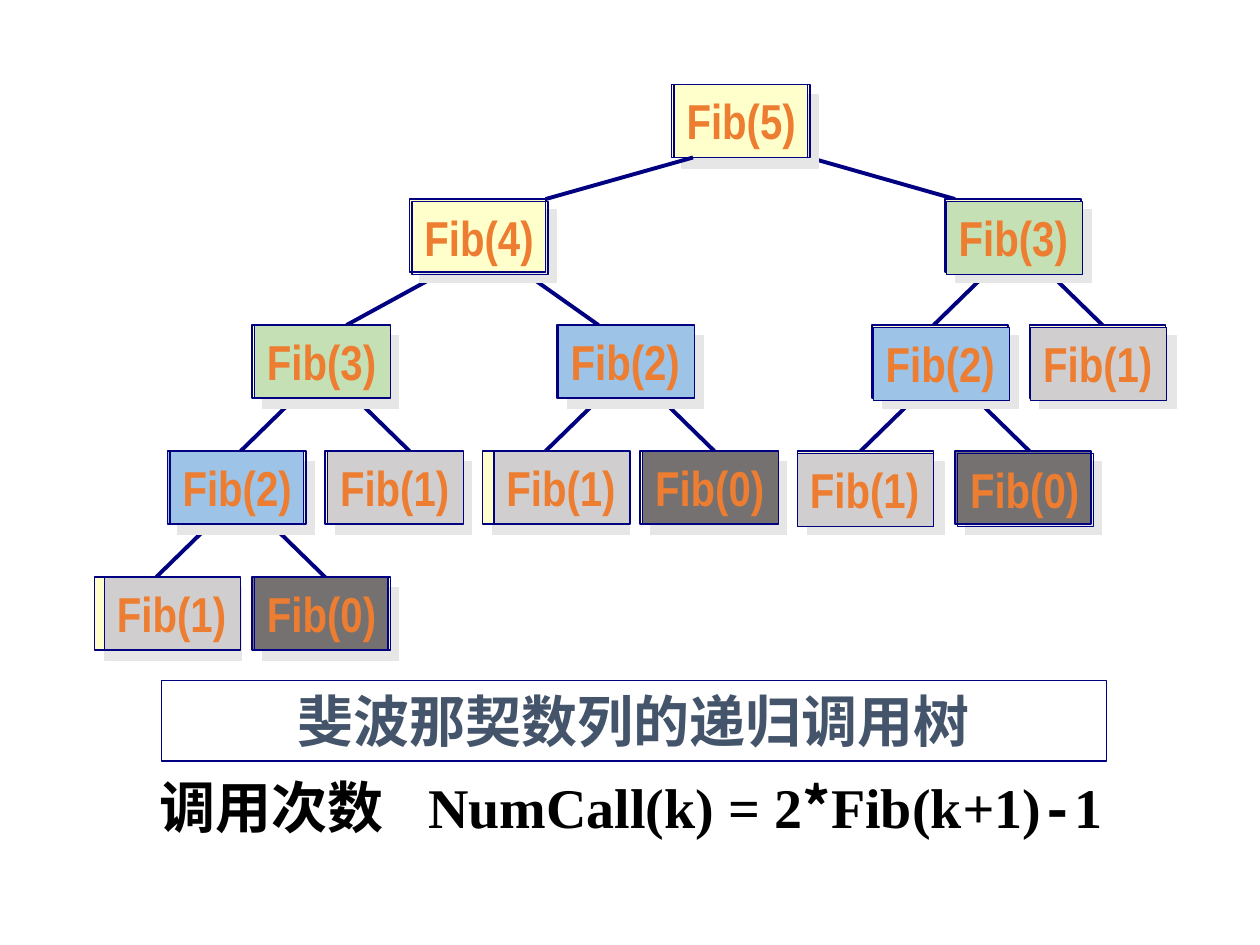
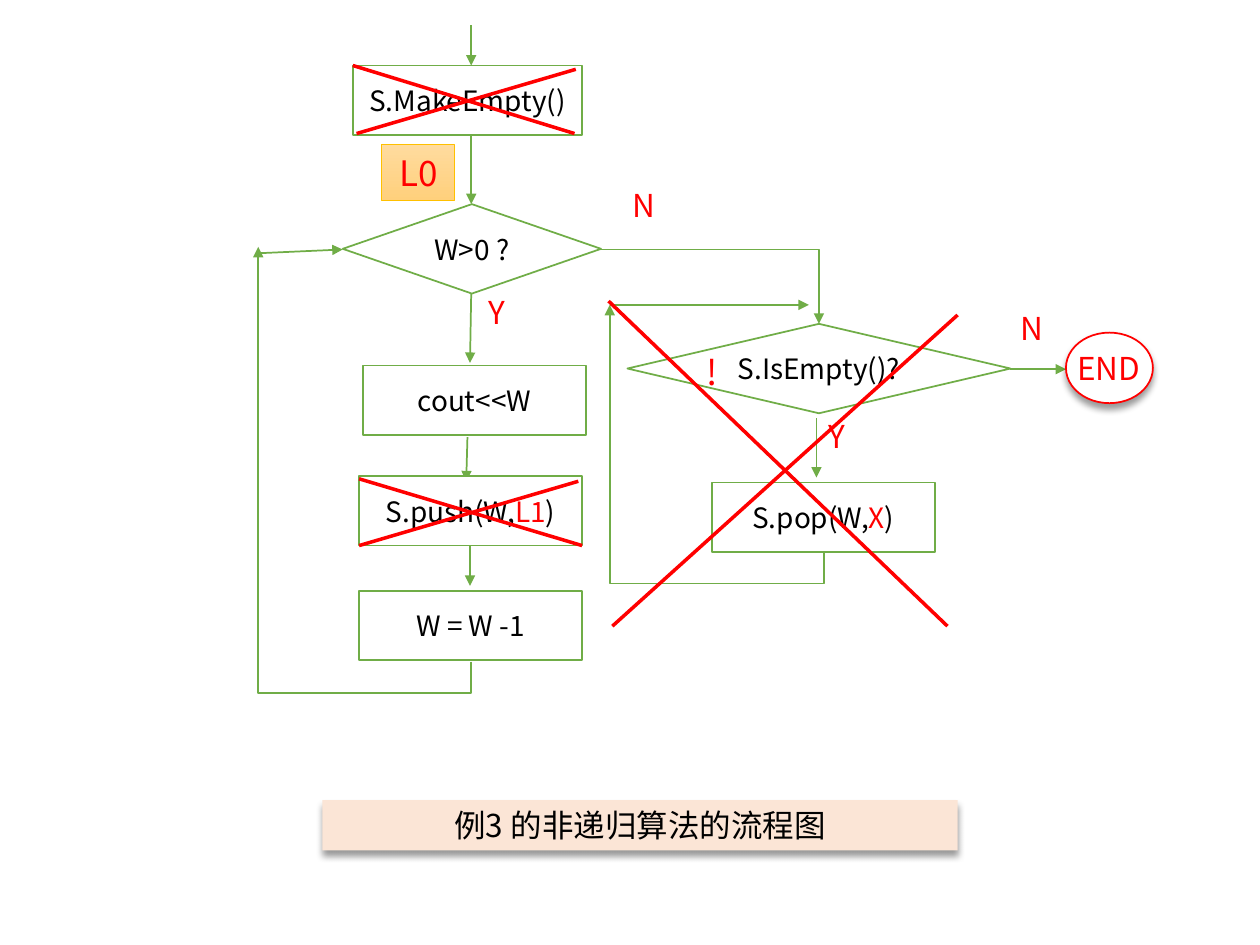
from lxml import etree
from pptx import Presentation
from pptx import util as u
from pptx.dml import color as dml
from pptx.enum import shapes, text
from pptx.oxml import ns

PX = 9144  # EMU per px, 100 px to the inch
HUES = {
    "navy": "000080", "orange": "ED7D31", "slate": "44546A", "black": "000000",
    "white": "FFFFFF", "cream": "FFFFCC", "mist": "E7E6E6", "green": "70AD47",
    "red": "FF0000", "gold": "FFC000", "peach": "FBE5D6",
    "light": "FFDB9E", "deep": "FFD07C",
}
TONES = {0: "767171", 1: "D0CECE", 2: "9DC3E6", 3: "C5E0B4", 4: "FFFFCC", 5: "FFFFCC"}
SANS, SERIF, NARROW, MONO = "Noto Sans CJK SC", "Times New Roman", "Arial Narrow", "Courier New"
KIND = shapes.MSO_SHAPE
MID = text.PP_ALIGN.CENTER

# Shadows: colour, opacity %, blur pt, distance pt, angle
CAST = ("mist", 100, 0, 8.5, 45)
SOFT = ("black", 40, 4, 3, 90)

# Tree nodes: number, card left and top, label shift, label without fill
CARD = (108, 58)
NODES = [
    (2, 133, 358, 2, 0, True), (1, 258, 358, 2, 0, False),
    (1, 383, 358, 9, 0, False), (0, 508, 358, 2, 0, False),
    (1, 633, 358, 0, 2, False), (0, 758, 358, 2, 2, True),
    (2, 692, 258, 1, 2, False), (1, 817, 258, 1, 2, False),
    (1, 75, 458, 8, 0, False), (0, 200, 458, 2, 0, True),
    (3, 200, 258, 2, 0, False), (2, 442, 258, 1, 0, False),
    (4, 325, 158, 2, 2, True), (3, 750, 158, 1, 2, False),
    (5, 533, 67, 2, 0, True),
]
FORKS = [(133, 417), (200, 317), (442, 317), (692, 317), (750, 217)]
LIMBS = [(417, 217, 475, 258), (350, 217, 275, 258), (642, 125, 758, 158)]

# Flow steps: kind, place, text parts, side and top margins
STEPS = [
    (KIND.DIAMOND, (272, 162, 205, 71), ["W>0 ?"], (10, 5)),
    (KIND.RECTANGLE, (285, 469, 177, 55), ["W = W -1"], (10, 5)),
    (KIND.RECTANGLE, (288, 290, 177, 55), ["cout<<W"], (10, 5)),
    (KIND.RECTANGLE, (285, 378, 177, 55), ["S.push(W,", "L1", ")"], (10, 5)),
    (KIND.DIAMOND, (498, 257, 304, 71), ["S.IsEmpty()?"], (0, 0)),
    (KIND.RECTANGLE, (565, 383, 177, 55), ["S.pop(W,", "X", ")"], (10, 5)),
    (KIND.RECTANGLE, (280, 52, 182, 55), ["S.MakeEmpty()"], (0, 5)),
]
ARROWS = [
    (374, 20, 374, 52), (374, 107, 374, 162), (374, 233, 373, 288),
    (205, 201, 272, 198), (371, 347, 370, 382), (373, 433, 373, 465),
    (484, 242, 642, 242), (802, 293, 846, 293), (648, 332, 648, 379),
]
BENDS = [
    ((476, 198, 174, 59), 2, 0, None),
    ((125, 276, 329, 169), 3, 90, -7600),
    ((471, 255, 196, 170), 3, 90, -12800),
]
CROSSES = [
    (285, 380, 462, 433), (459, 382, 285, 433), (483, 239, 752, 497),
    (760, 250, 486, 497), (280, 52, 456, 106), (457, 55, 283, 106),
]
MARKS = [
    ("Y", (378, 228, 48, 40), 18), ("N", (492, 143, 48, 40), 18),
    ("N", (800, 240, 48, 40), 18), ("Y", (648, 326, 48, 40), 18),
    ("!", (551, 273, 27, 44), 20), ("END", (845, 272, 79, 40), 18),
]


def emu(vals):
    return [u.Emu(v * PX) for v in vals]


def rgb(name):
    return dml.RGBColor.from_string(HUES.get(name, name))


def sub(top, tag, **attrs):
    node = etree.SubElement(top, ns.qn(tag))
    for key, val in attrs.items():
        node.set(key, str(val))
    return node


def shade(shape, cast):
    hue, alpha, blur, dist, turn = cast
    spot = sub(sub(shape._element.spPr, "a:effectLst"), "a:outerShdw",
               blurRad=u.Pt(blur), dist=u.Pt(dist), dir=turn * 60000,
               algn="ctr", rotWithShape=0)
    tint = sub(spot, "a:srgbClr", val=HUES[hue])
    sub(tint, "a:alpha", val=alpha * 1000)


def box(slide, kind, at, fill=None, line=None, width=1, cast=None):
    shape = slide.shapes.add_shape(kind, *emu(at))
    if fill:
        shape.fill.solid()
        shape.fill.fore_color.rgb = rgb(fill)
    else:
        shape.fill.background()
    if line:
        shape.line.color.rgb = rgb(line)
        shape.line.width = u.Pt(width)
    else:
        shape.line.fill.background()
    if cast:
        shade(shape, cast)
    else:
        shape.shadow.inherit = False
    return shape


def write(shape, runs, align=None, mid=False, wrap=True, pad=(10, 5)):
    """Fill a shape with runs of (text, size, font, colour, bold, italic)."""
    frame = shape.text_frame
    frame.word_wrap = wrap
    frame.vertical_anchor = text.MSO_ANCHOR.MIDDLE if mid else text.MSO_ANCHOR.TOP
    if not mid:
        frame.auto_size = text.MSO_AUTO_SIZE.SHAPE_TO_FIT_TEXT
    frame.margin_left = frame.margin_right = u.Emu(pad[0] * PX)
    frame.margin_top = frame.margin_bottom = u.Emu(pad[1] * PX)
    para = frame.paragraphs[0]
    para.alignment = align or text.PP_ALIGN.LEFT
    for words, size, face, hue, bold, ital in runs:
        run = para.add_run()
        run.text = words
        font = run.font
        font.size, font.name, font.bold, font.italic = u.Pt(size), face, bold, ital
        font.color.rgb = rgb(hue)
        sub(run._r.get_or_add_rPr(), "a:ea", typeface=SANS)
    return para


def sans(words, size, hue="black", bold=False):
    return (words, size, SANS, hue, bold, False)


def note(slide, at, runs):
    return write(slide.shapes.add_textbox(*emu(at)), runs)


def dress(link, hue, width, head):
    link.line.color.rgb = rgb(hue)
    link.line.width = u.Pt(width)
    if head:
        sub(link.line._get_or_add_ln(), "a:tailEnd", type="triangle")
    sub(link._element.spPr, "a:effectLst")


def link(slide, ends, hue, width, head=False):
    line = slide.shapes.add_connector(shapes.MSO_CONNECTOR.STRAIGHT, *emu(ends))
    dress(line, hue, width, head)


def bend(slide, at, legs, turn, bulge):
    x, y, w, h = at
    line = slide.shapes.add_connector(
        shapes.MSO_CONNECTOR.ELBOW, *emu((x, y, x + w, y + h)))
    props = line._element.spPr
    geom = props.find(ns.qn("a:prstGeom"))
    geom.set("prst", f"bentConnector{legs}")
    if turn:
        frame = props.find(ns.qn("a:xfrm"))
        frame.set("rot", str(turn * 60000))
        frame.set("flipH", "1")
    if bulge is not None:
        sub(geom.find(ns.qn("a:avLst")), "a:gd", name="adj1", fmla=f"val {bulge}")
    dress(line, "green", 1, True)


def tree(slide):
    # Formula line and title
    def bold(words, face=SERIF, ital=False):
        return (words, 32, face, "black", True, ital)

    para = note(slide, (117, 608, 824, 70), [
        bold("调用次数"), bold("\tNumCall(k) = 2"), bold("*", SANS), bold("Fib(k"),
        bold("+", ital=True), bold("1)"), bold("-", MONO), bold("1")])
    tabs = sub(para._p.get_or_add_pPr(), "a:tabLst")
    sub(tabs, "a:tab", pos=213 * PX, algn="l")
    title = box(slide, KIND.RECTANGLE, (128, 540, 750, 64), None, "navy", 0.75)
    write(title, [sans("斐波那契数列的递归调用树", 32, "slate", True)], MID)

    # Branches below the cards
    forks = [(x + off, y, x + off + run, y + 41)
             for x, y in FORKS for off, run in ((33, -42), (83, 42))]
    for ends in forks + LIMBS:
        link(slide, ends, "navy", 2.25)

    # Cards, then the last branch, then labels
    for num, x, y, dx, dy, bare in NODES:
        box(slide, KIND.RECTANGLE, (x, y, *CARD), TONES[num] if bare else "cream",
            "navy", 0.75, CAST)
    link(slide, (550, 125, 433, 158), "navy", 2.25)
    for num, x, y, dx, dy, bare in NODES:
        label = box(slide, KIND.RECTANGLE, (x + dx, y + dy, *CARD),
                    None if bare else TONES[num], "navy", 0.75)
        write(label, [(f"Fib({num})", 28, NARROW, "orange", True, False)], wrap=False)


def flow(slide):
    # Arrows and steps
    for ends in ARROWS:
        link(slide, ends, "green", 1, True)
    for at, legs, turn, bulge in BENDS:
        bend(slide, at, legs, turn, bulge)
    for kind, at, parts, pad in STEPS:
        step = box(slide, kind, at, "white", "green")
        runs = [sans(part, 16, "red" if i == 1 else "black")
                for i, part in enumerate(parts)]
        write(step, runs, MID, True, pad=pad)

    # End point, branch marks and entry tag
    box(slide, KIND.OVAL, (846, 264, 69, 56), "white", "red", 1, SOFT)
    for words, at, size in MARKS:
        note(slide, at, [sans(words, size, "red")])
    tag = box(slide, KIND.RECTANGLE, (303, 115, 58, 44), None, "gold", 0.5)
    tag.fill.gradient()
    tag.fill.gradient_angle = 270
    for stop, hue in zip(tag.fill.gradient_stops, ("light", "deep")):
        stop.color.rgb = rgb(hue)
    write(tag, [sans("L0", 20, "red")], MID)

    # Strokes that cross out the stack steps
    for ends in CROSSES:
        link(slide, ends, "red", 2)

    # Caption
    cap = box(slide, KIND.RECTANGLE, (256, 635, 504, 40), "peach", cast=SOFT)
    write(cap, [sans("例3 的非递归算法的流程图", 18)], MID)


def main():
    deck = Presentation()
    deck.slide_width, deck.slide_height = emu((1000, 750))
    for draw in (tree, flow):
        draw(deck.slides.add_slide(deck.slide_layouts[6]))
    deck.save("out.pptx")


if __name__ == "__main__":
    main()
